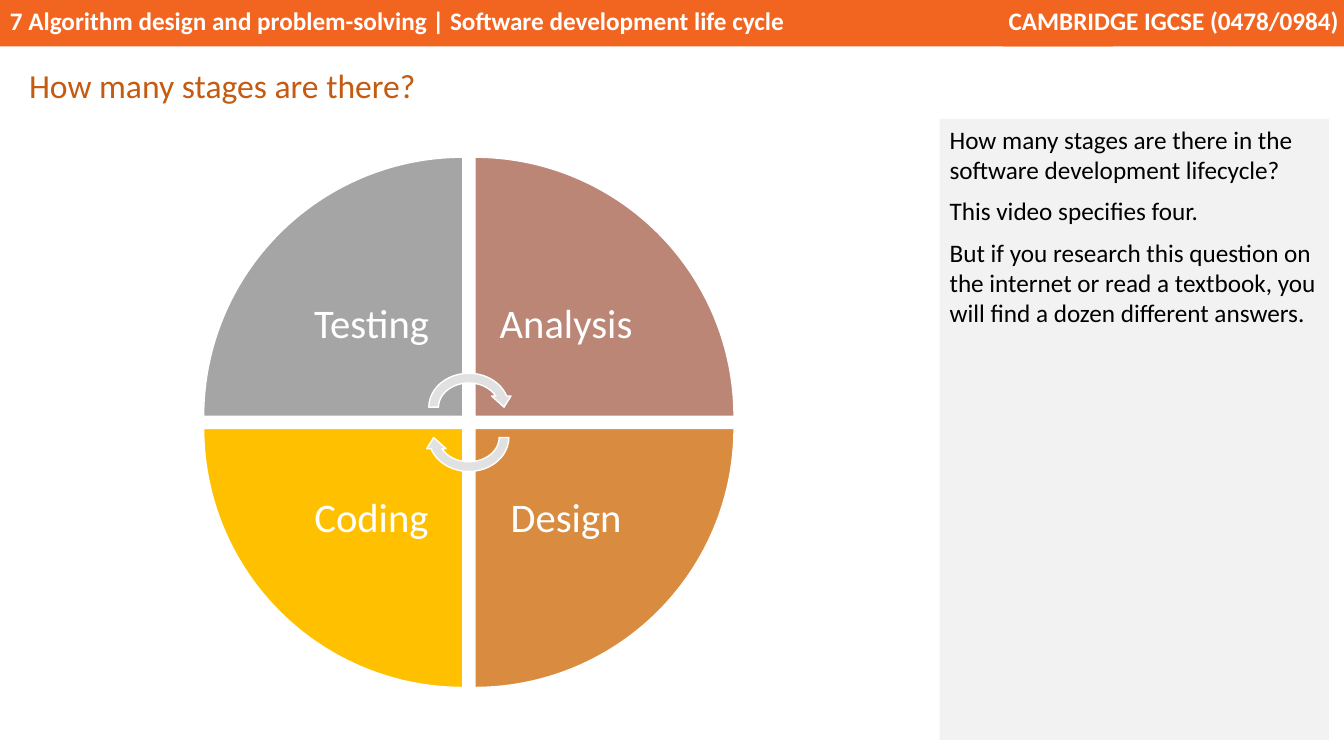
import pptx
import pptx.util
from pptx.dml.color import RGBColor
from pptx.enum.shapes import MSO_SHAPE
from pptx.enum.text import MSO_ANCHOR, PP_ALIGN
from pptx.util import Inches, Pt

COLORS = {
    "header": "F26521", "title": "C55A11", "panel": "F2F2F2",
    "white": "FFFFFF", "black": "000000", "arrow": "E1E1E1",
    "testing": "A5A5A5", "analysis": "BB8676",
    "design": "D98B3F", "coding": "FFC000",
}
FONT = "Calibri"

# name, column, row, clockwise from the top left
STAGES = [("Testing", 0, 0), ("Analysis", 1, 0), ("Design", 1, 1), ("Coding", 0, 1)]


def rgb(name):
    return RGBColor.from_string(COLORS[name])


def add_filled(s, kind, box, fill, line=None, rotation=0):
    sp = s.shapes.add_shape(kind, *map(Inches, box))
    sp.shadow.inherit = False
    sp.rotation = rotation
    sp.fill.solid()
    sp.fill.fore_color.rgb = rgb(fill)
    if line:
        sp.line.color.rgb = rgb(line)
        sp.line.width = Pt(1)
    else:
        sp.line.fill.background()
    return sp


def write(sp, texts, size, color, bold=False, align=PP_ALIGN.LEFT,
          anchor=MSO_ANCHOR.TOP, wrap=True, line_spacing=None, after=None):
    tf = sp.text_frame
    tf.word_wrap = wrap
    tf.vertical_anchor = anchor
    for i, text in enumerate(texts):
        p = tf.add_paragraph() if i else tf.paragraphs[0]
        p.text = text
        p.alignment = align
        p.line_spacing = line_spacing
        p.space_after = after
        p.font.name = FONT
        p.font.size = Pt(size)
        p.font.bold = bold
        p.font.color.rgb = rgb(color)
    return tf


def add_header(s, left, top, width, height):
    topic = add_filled(s, MSO_SHAPE.RECTANGLE, (left, top, 11.04, height), "header")
    write(topic, ["7 Algorithm design and problem-solving | Software development life cycle"],
          18, "white", bold=True)
    course_width = 3.38
    course = add_filled(s, MSO_SHAPE.RECTANGLE,
                        (left + width - course_width, top, course_width, height), "header")
    tf = write(course, ["CAMBRIDGE IGCSE (0478/0984)"], 18, "white",
               bold=True, align=PP_ALIGN.RIGHT)
    tf.margin_left = 0
    tf.margin_right = Inches(0.05)


def add_title(s, *box):
    sp = s.shapes.add_textbox(*map(Inches, box))
    write(sp, ["How many stages are there?"], 24, "title", wrap=False,
          line_spacing=1.07, after=Pt(8))


def add_panel(s, *box):
    sp = add_filled(s, MSO_SHAPE.RECTANGLE, box, "panel")
    write(sp, [
        "How many stages are there in the software development lifecycle?",
        "This video specifies four.",
        "But if you research this question on the internet or read a textbook, "
        "you will find a dozen different answers.",
    ], 18, "black", after=Pt(8))


def add_cycle(s, left, top, size):
    """Four wedges with labels at their inner corners and two arrows round the centre."""
    wedge, label = 2.57, 1.81
    pitch = size - wedge
    inset = wedge - label
    for i, (name, col, row) in enumerate(STAGES):
        x, y = left + col * pitch, top + row * pitch
        add_filled(s, MSO_SHAPE.PIE_WEDGE, (x, y, wedge, wedge),
                   name.lower(), "white", rotation=90 * i)
        box = (x + (1 - col) * inset, y + (1 - row) * inset, label, label)
        tf = write(s.shapes.add_textbox(*map(Inches, box)), [name], 29, "white",
                   align=PP_ALIGN.CENTER, anchor=MSO_ANCHOR.MIDDLE, line_spacing=0.9)
        tf.margin_left = tf.margin_right = Inches(0.23)
        tf.margin_top = tf.margin_bottom = Inches(0.23)

    width, height, shift = 0.89, 0.77, 0.15
    x = left + (size - width) / 2
    y = top + (size - height) / 2
    for dy, rotation in ((-shift, 0), (shift, 180)):
        add_filled(s, MSO_SHAPE.CIRCULAR_ARROW, (x, y + dy, width, height),
                   "arrow", "white", rotation)


def main():
    prs = pptx.Presentation()
    prs.slide_width, prs.slide_height = Inches(13.33), Inches(7.5)
    s = prs.slides.add_slide(prs.slide_layouts[6])
    add_header(s, 0, 0, 13.33, 0.46)
    add_title(s, 0.19, 0.57, 4.07, 0.51)
    add_panel(s, 9.32, 1.18, 3.86, 6.16)
    add_cycle(s, 2.02, 1.56, 5.26)
    prs.save("out.pptx")


if __name__ == "__main__":
    main()
